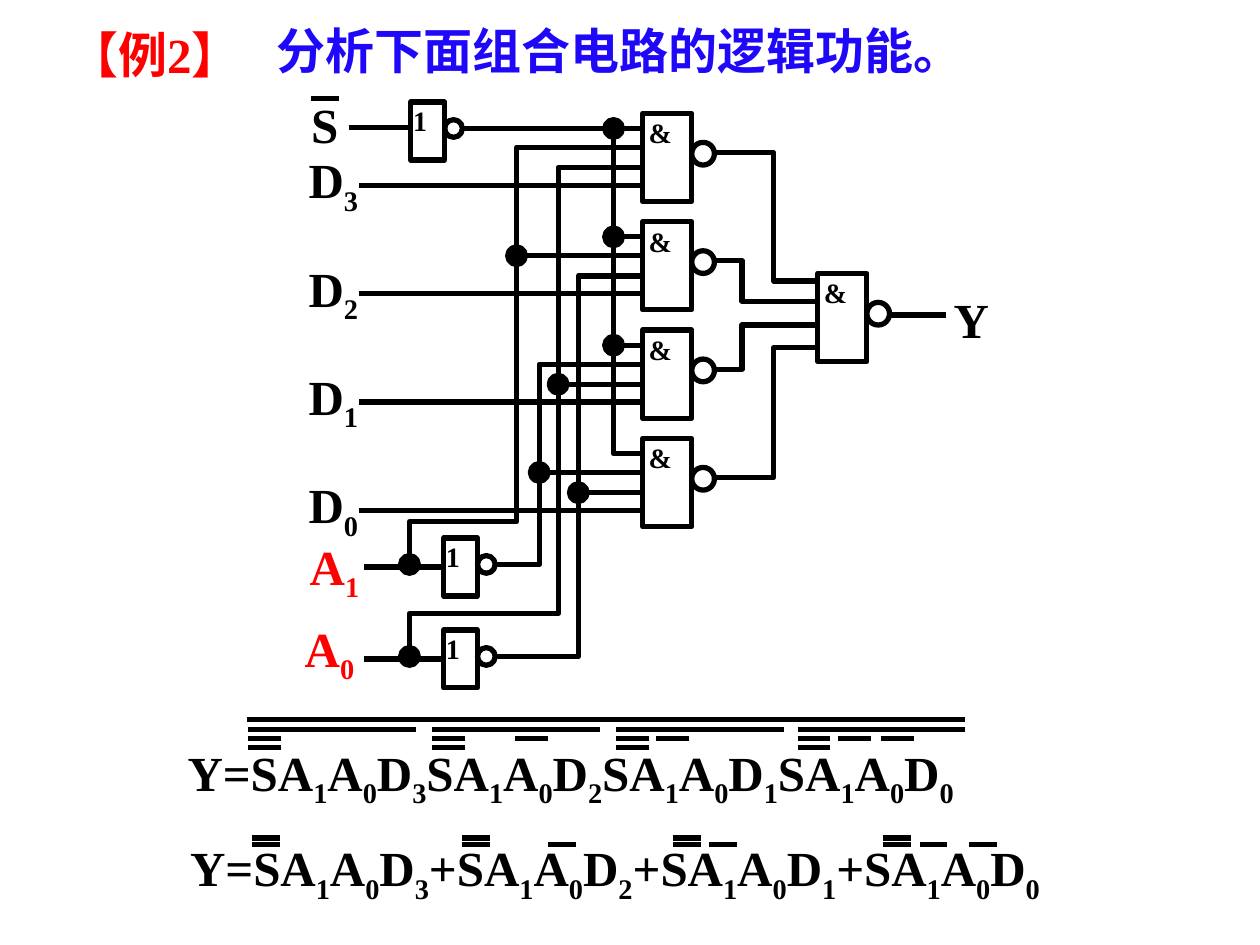
"""Build a slide that analyses a NAND-gate multiplexer circuit."""
from dataclasses import dataclass

import pptx
import pptx.dml.color
import pptx.enum.shapes
import pptx.enum.text
import pptx.oxml
import pptx.util


@dataclass(frozen=True)
class Theme:
    black: str = "000000"
    red: str = "FF0000"
    blue: str = "1F08F8"
    white: str = "FFFFFF"
    serif: str = "Times New Roman"
    sans: str = "Arial"
    large: int = 28
    small: int = 16
    line: int = 3


PX = 9144
theme = Theme()
rgb = pptx.dml.color.RGBColor.from_string
shapes = pptx.enum.shapes.MSO_SHAPE
straight = pptx.enum.shapes.MSO_CONNECTOR.STRAIGHT

prs = pptx.Presentation()
prs.slide_width, prs.slide_height = 1000 * PX, 750 * PX
s = prs.slides.add_slide(prs.slide_layouts[5])


def write(sp, text, size=theme.large, color=theme.black, font=theme.serif):
    """Write text, lowering each character that follows an underscore."""
    tf = sp.text_frame
    tf.word_wrap = True
    tf.auto_size = pptx.enum.text.MSO_AUTO_SIZE.NONE
    p = tf.paragraphs[0]
    p.alignment = pptx.enum.text.PP_ALIGN.LEFT
    p.space_before = pptx.util.Pt(size / 10)
    p.font.size = pptx.util.Pt(size)
    p.font.bold = True
    p.font.name = font
    p.font.color.rgb = rgb(color)
    normal, *lowered = text.split("_")
    p.add_run().text = normal
    for piece in lowered:
        r = p.add_run()
        r.text = piece[0]
        r.font._element.set("baseline", "-25000")
        if piece[1:]:
            p.add_run().text = piece[1:]


def outline(sp, fill=None):
    """Give a shape or connector the circuit's line and no shadow."""
    sp.line.color.rgb = rgb(theme.black)
    sp.line.width = pptx.util.Pt(theme.line)
    if hasattr(sp, "fill"):
        sp.shadow.inherit = False
        sp.fill.background()
        if fill:
            sp.fill.solid()
            sp.fill.fore_color.rgb = rgb(fill)
    else:
        sp._element.spPr.append(pptx.oxml.parse_xml(
            '<a:effectLst xmlns:a="http://schemas.openxmlformats.org/drawingml/2006/main"/>'))
    return sp


title = s.shapes.title
title.left, title.top, title.width, title.height = [v * PX for v in (45, 14, 179, 58)]
title.text_frame.vertical_anchor = pptx.enum.text.MSO_ANCHOR.MIDDLE
title.text_frame.margin_right = 0
write(title, "【例2】", color=theme.red)

terms = [f"SA_1A_0D_{data}" for data in (3, 2, 1, 0)]
framed_texts = [
    ("分析下面组合电路的逻辑功能。", 210, 11, 576, theme.blue, theme.sans),
    ("Y=" + "".join(terms), 139, 584, 663, theme.black, theme.serif),
    ("Y=" + "+".join(terms), 141, 660, 765, theme.black, theme.serif),
]
for text, x, y, w, color, font in framed_texts:
    sp = s.shapes.add_textbox(x * PX, y * PX, w * PX, 57 * PX)
    sp.line.color.rgb = rgb(theme.white)
    sp.line.width = pptx.util.Pt(theme.line)
    write(sp, text, color=color, font=font)

nand_x, nand_top, nand_pitch, nand_w, nand_h = 510, 90, 86, 39, 70
out_x, out_y = 649, 217
nand_ys = [nand_top + nand_pitch * row for row in range(4)]
nands = [(nand_x, y) for y in nand_ys] + [(out_x, out_y)]
s_gate, a1_gate, a0_gate = (326, 81), (352, 427), (352, 500)

bodies = {}
labels = []
gate_kinds = [
    ("&", nands, nand_w, nand_h, 18, 23, -5, -3),
    ("1", [s_gate, a1_gate, a0_gate], 27, 46, 14, 14, -8, -4),
]
for text, corners, w, h, bubble, drop, dx, dy in gate_kinds:
    for x, y in corners:
        bodies[x, y] = outline(
            s.shapes.add_shape(shapes.RECTANGLE, x * PX, y * PX, w * PX, h * PX))
        outline(s.shapes.add_shape(
            shapes.OVAL, (x + w) * PX, (y + drop) * PX, bubble * PX, bubble * PX))
        labels.append((text, x + dx, y + dy, 51, 37, theme.small, theme.black))

rails = {"S": 487, "A1": 410, "not A1": 428, "A0": 443, "not A0": 459}
pin_drops = (12, 27, 43, 57)
taps = {name: [] for name in rails}
lines = []
for row, y in enumerate(nand_ys):
    a1 = "not A1" if row >= 2 else "A1"
    a0 = "not A0" if row % 2 else "A0"
    s_pin, a1_pin, a0_pin, data_pin = [y + drop for drop in pin_drops]
    taps["S"].append(s_pin)
    taps[a1].append(a1_pin)
    taps[a0].append(a0_pin)
    lines.append((285, nand_x, data_pin))
    labels.append((f"D_{3 - row}", 235, data_pin - 33, 71, 57, theme.large, theme.black))

s_y = taps["S"][0]
sources = {"S": [(367, s_y)]}
junctions = []
fork_x, inverter_out_x = 325, 393
for name, (x, y) in (("A1", a1_gate), ("A0", a0_gate)):
    level = y + 21
    sources[name] = [(fork_x, level), (fork_x, level - 34)]
    sources["not " + name] = [(inverter_out_x, level)]
    junctions.append((fork_x, level))
    wire = outline(s.shapes.add_connector(straight, 289 * PX, y * PX, x * PX, y * PX))
    wire.begin_y = (y + 23) * PX
    wire.end_connect(bodies[x, y], 1)

wires = []
for name, rail_x in rails.items():
    far_pin, *branches = taps[name] if name != "S" else reversed(taps[name])
    source = sources[name]
    wires.append(source + [(rail_x, source[-1][1]), (rail_x, far_pin), (nand_x, far_pin)])
    lines += [(rail_x, nand_x, pin) for pin in branches]
    junctions += [(rail_x, pin) for pin in branches]

lanes = (614, 589, 589, 614)
out_pin_drops = (6, 22, 41, 59)
for y, lane_x, drop in zip(nand_ys, lanes, out_pin_drops):
    level, pin = y + 31, out_y + drop
    wires.append([(567, level), (lane_x, level), (lane_x, pin), (out_x, pin)])

for start, *points in wires:
    builder = s.shapes.build_freeform(*start, scale=PX)
    builder.add_line_segments(points, close=False)
    outline(builder.convert_to_shape())

s_bar_y = 78
lines += [(277, s_gate[0], 101), (706, 751, 250), (247, 269, s_bar_y)]

product_starts, product_w = (197, 343, 489, 633), 133
lines.append((196, 766, 571))
lines += [(x, x + product_w, 579) for x in product_starts]
sum_starts = [200 + 167 * term for term in range(4)]
overlines = [
    (product_starts, 26, (586, 593), 586, 32, 66),
    (sum_starts, 22, (665, 670), 670, 29, 68),
]
for starts, w, s_bars, a_bar, a1_dx, a0_dx in overlines:
    for term, x in enumerate(starts):
        bars = [(x, y) for y in s_bars]
        if term >= 2:
            bars.append((x + a1_dx, a_bar))
        if term % 2:
            bars.append((x + a0_dx, a_bar))
        lines += [(left, left + w, y) for left, y in bars]

for x1, x2, y in lines:
    outline(s.shapes.add_connector(straight, x1 * PX, y * PX, x2 * PX, y * PX))

radius = 7
for x, y in junctions:
    outline(s.shapes.add_shape(shapes.OVAL, (x - radius) * PX, (y - radius) * PX,
                               2 * radius * PX, 2 * radius * PX), theme.black)

signals = [("Y", 747, 225, theme.black), ("S", 237, 70, theme.black),
           ("A_1", 236, 421, theme.red), ("A_0", 232, 486, theme.red)]
labels += [(text, x, y, 71, 57, theme.large, color) for text, x, y, color in signals]
for text, x, y, w, h, size, color in labels:
    write(s.shapes.add_textbox(x * PX, y * PX, w * PX, h * PX), text, size, color)

prs.save("out.pptx")
